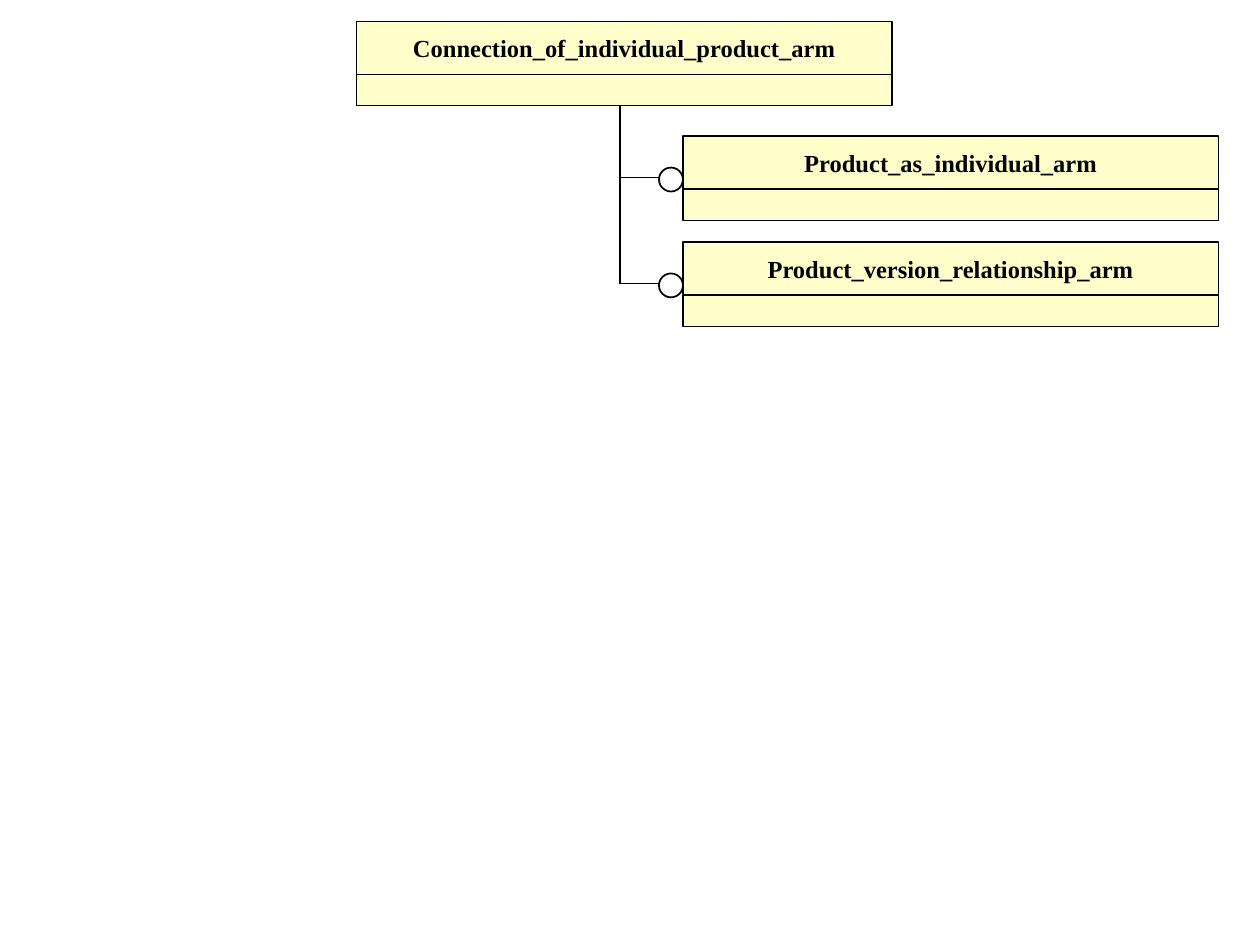
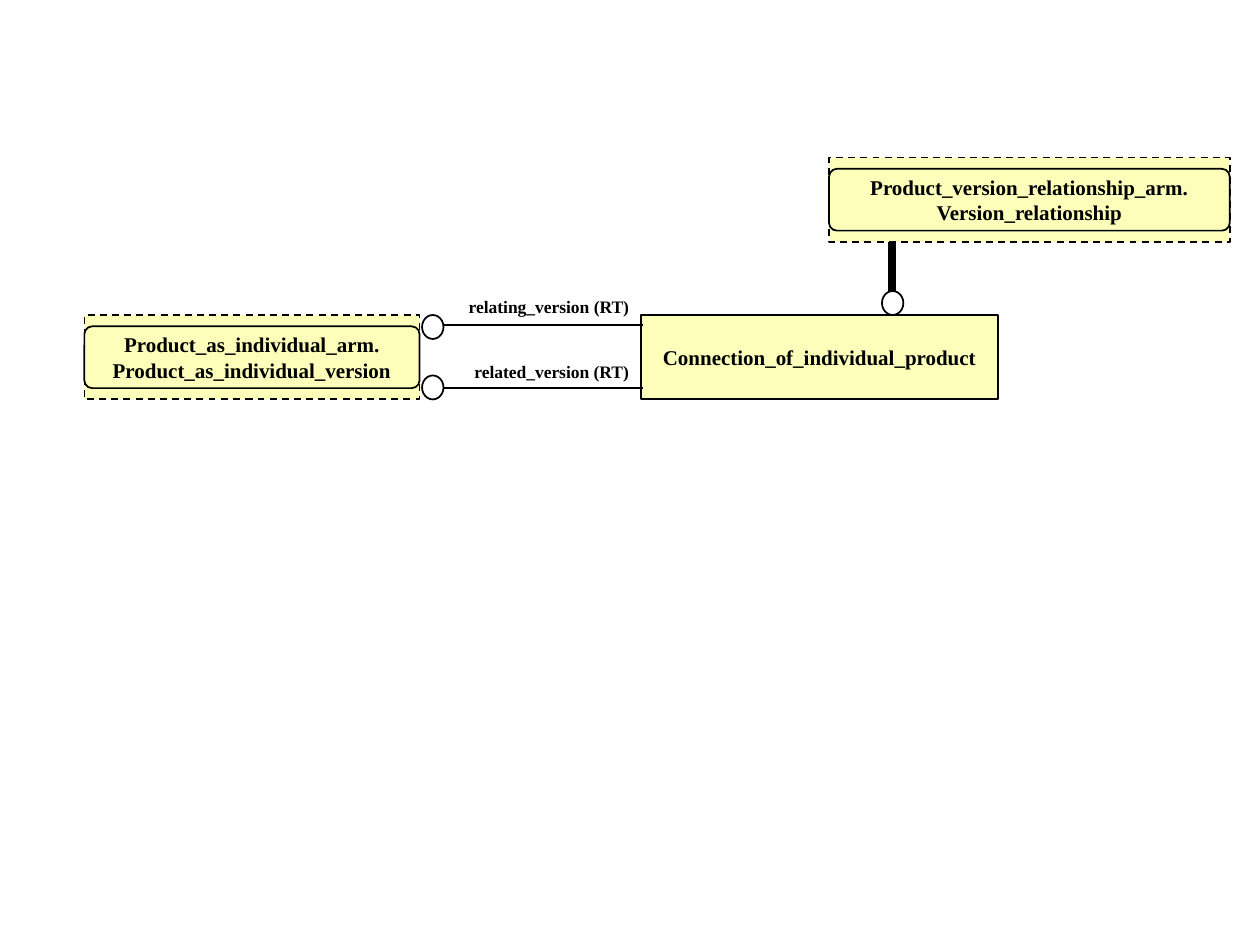
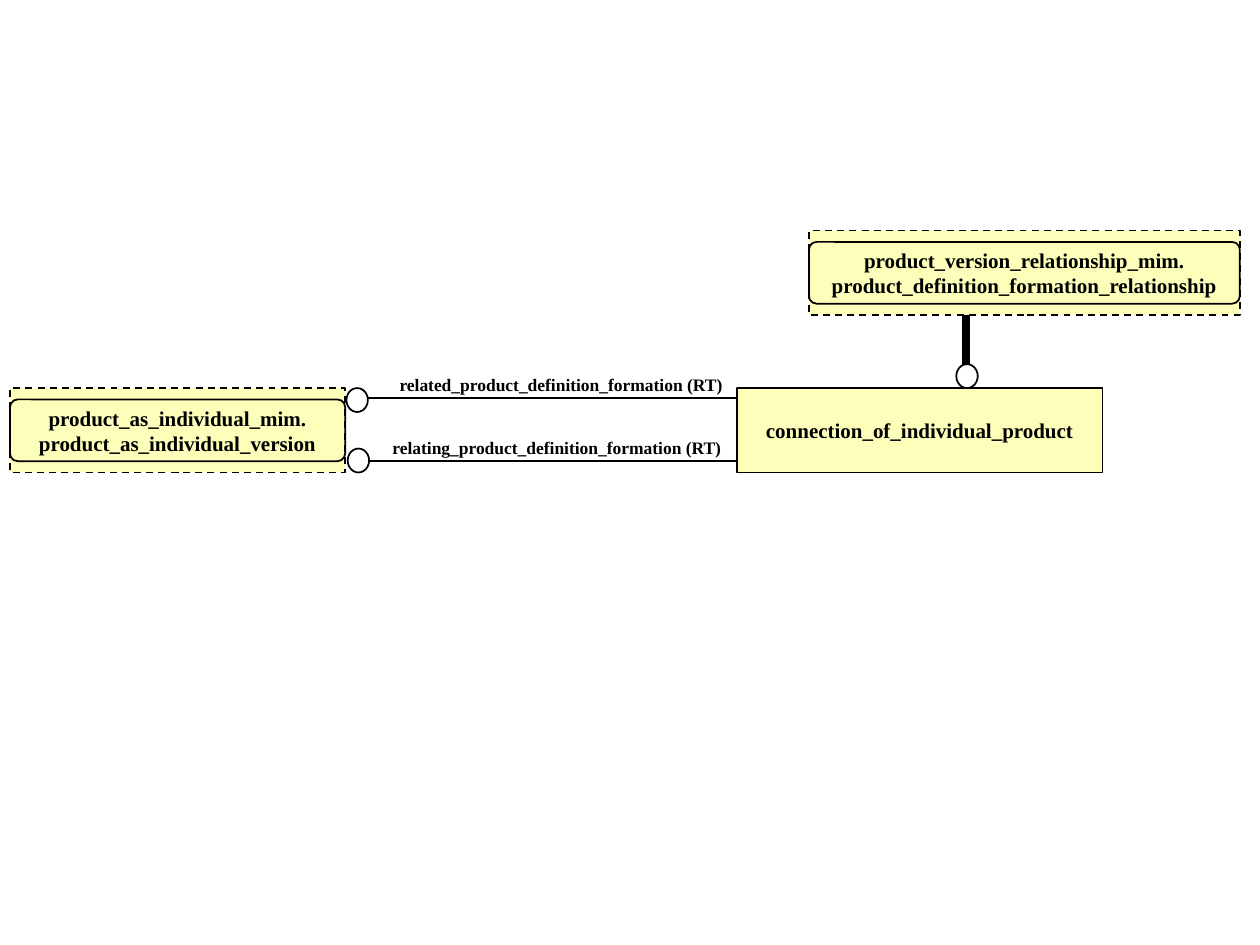
from dataclasses import dataclass

from pptx import Presentation
from pptx import util as u
from pptx.dml.color import RGBColor
from pptx.enum import dml, shapes, text
from pptx.oxml import parse_xml
from pptx.oxml.ns import nsdecls

Inches = u.Inches


@dataclass(frozen=True)
class Theme:
    ink: RGBColor = RGBColor(0x00, 0x00, 0x00)
    paper: RGBColor = RGBColor(0xFF, 0xFF, 0xFF)
    schema: RGBColor = RGBColor(0xFF, 0xFF, 0xCC)
    entity: RGBColor = RGBColor(0xFC, 0xFE, 0xB9)
    font: str = "Times New Roman"
    schema_size: float = 14
    entity_size: float = 12
    label_size: float = 10
    thin: float = 0.75
    line: float = 1
    thick: float = 4.5


SCHEMA_WIDTH, SCHEMA_HEAD, SCHEMA_FOOT = 4.25, 0.42, 0.25
ENTITY_HEIGHT = 0.67
CIRCLE_WIDTH, CIRCLE_HEIGHT = 0.17, 0.19
LABEL_HEIGHT = 0.27


def write(shape, content, *, size, align, theme, wrap=False):
    """Put one paragraph per line of content into the shape."""
    frame = shape.text_frame
    frame.word_wrap = wrap
    for index, line in enumerate(content.split("\n")):
        para = frame.add_paragraph() if index else frame.paragraphs[0]
        para.alignment = align
        span = para.add_run()
        span.text = line
        span.font.name = theme.font
        span.font.size = u.Pt(size)
        span.font.bold = True
        span.font.color.rgb = theme.ink


class Diagram:
    def __init__(self, deck, theme):
        self.deck, self.theme, self.page = deck, theme, None

    def new_page(self):
        self.page = self.deck.slides.add_slide(self.deck.slide_layouts[6])

    def shape(self, kind, left, top, width, height, *, fill=None, weight=None,
              dashed=False, parent=None):
        box = (parent or self.page).shapes.add_shape(
            kind, Inches(left), Inches(top), Inches(width), Inches(height))
        box.shadow.inherit = False
        if fill is None:
            box.fill.background()
        else:
            box.fill.solid()
            box.fill.fore_color.rgb = fill
        box.line.color.rgb = self.theme.ink
        box.line.width = u.Pt(weight or self.theme.line)
        if dashed:
            box.line.dash_style = dml.MSO_LINE.DASH
        return box

    def box(self, left, top, width, height, content="", *, size=None, **style):
        box = self.shape(shapes.MSO_SHAPE.RECTANGLE, left, top, width, height, **style)
        if content:
            box.text_frame.vertical_anchor = text.MSO_ANCHOR.MIDDLE
            write(box, content, size=size, align=text.PP_ALIGN.CENTER, theme=self.theme)

    def schema(self, left, top, name):
        """Draw a schema: a named head over an empty foot."""
        style = dict(fill=self.theme.schema, weight=self.theme.thin,
                     parent=self.page.shapes.add_group_shape())
        self.box(left, top, SCHEMA_WIDTH, SCHEMA_HEAD, name,
                 size=self.theme.schema_size, **style)
        self.box(left, top + SCHEMA_HEAD, SCHEMA_WIDTH, SCHEMA_FOOT, **style)

    def entity(self, left, top, width, name, **style):
        self.box(left, top, width, ENTITY_HEIGHT, name, fill=self.theme.entity,
                 size=self.theme.entity_size, **style)

    def external_entity(self, left, top, width, name):
        """Draw an entity of another schema: dashed box, rounded frame inside."""
        group = self.page.shapes.add_group_shape()
        self.entity(left, top, width, name, dashed=True, parent=group)
        frame = self.shape(shapes.MSO_SHAPE.ROUNDED_RECTANGLE, left, top + 0.09,
                           width, 0.49, parent=group)
        frame.adjustments[0] = 0.125

    def line(self, x1, y1, x2, y2, weight):
        line = self.page.shapes.add_connector(
            shapes.MSO_CONNECTOR.STRAIGHT, *map(Inches, (x1, y1, x2, y2)))
        line.line.color.rgb = self.theme.ink
        line.line.width = u.Pt(weight)
        properties = line._element.spPr
        properties.append(parse_xml(f"<a:effectLst {nsdecls('a')}/>"))

    def circle(self, left, top, width=CIRCLE_WIDTH):
        self.shape(shapes.MSO_SHAPE.OVAL, left, top, width, CIRCLE_HEIGHT,
                   fill=self.theme.paper)

    def label(self, left, top, width, content, *, wrap):
        box = self.page.shapes.add_textbox(
            Inches(left), Inches(top), Inches(width), Inches(LABEL_HEIGHT))
        write(box, content, size=self.theme.label_size, wrap=wrap,
              align=text.PP_ALIGN.RIGHT, theme=self.theme)
        box.text_frame.auto_size = text.MSO_AUTO_SIZE.SHAPE_TO_FIT_TEXT


def schema_page(diagram):
    thin = diagram.theme.thin
    trunk, stem_top, used_left = 4.92, 0.83, 5.42
    used = {1.08: "Product_as_individual_arm", 1.92: "Product_version_relationship_arm"}
    diagram.new_page()
    diagram.schema(2.83, 0.17, "Connection_of_individual_product_arm")
    for top, name in used.items():
        diagram.schema(used_left, top, name)
        diagram.line(trunk, top + 0.33, 5.25, top + 0.33, thin)
        diagram.circle(used_left - 0.19, top + 0.25, width=0.19)
    diagram.line(trunk, max(used) + 0.33, trunk, stem_top, thin)


def entity_page(diagram, *, entity, target, supertype, stem, attributes):
    """Draw an entity, its supertype above and its two attributes to the left.

    Boxes are (left, top, width, name); attributes are (circle left, label).
    """
    theme = diagram.theme
    left, top = entity[:2]
    diagram.new_page()
    diagram.entity(*entity)
    diagram.external_entity(*target)
    diagram.external_entity(*supertype)

    diagram.line(stem, supertype[1] + ENTITY_HEIGHT, stem, top - 0.17, theme.thick)
    diagram.circle(stem - 0.08, top - CIRCLE_HEIGHT)

    for index, (circle_left, label) in enumerate(attributes):
        line_y = top + 0.08 + 0.5 * index
        diagram.line(circle_left + CIRCLE_WIDTH, line_y, left + 0.01, line_y, theme.line)
        diagram.circle(circle_left, top + 0.48 * index)
        diagram.label(*label, wrap=index == 0)


def main():
    deck = Presentation()
    deck.slide_width, deck.slide_height = Inches(10), Inches(7.5)
    diagram = Diagram(deck, Theme())
    schema_page(diagram)
    entity_page(
        diagram,
        entity=(5.09, 2.5, 2.83, "Connection_of_individual_product"),
        target=(0.67, 2.5, 2.66,
                "Product_as_individual_arm.\nProduct_as_individual_version"),
        supertype=(6.58, 1.25, 3.18,
                   "Product_version_relationship_arm.\nVersion_relationship"),
        stem=7.08,
        attributes=[(3.35, (2.62, 2.3, 2.47, "relating_version (RT)")),
                    (3.35, (3.66, 2.82, 1.43, "related_version (RT)"))])
    entity_page(
        diagram,
        entity=(5.85, 3.08, 2.9, "connection_of_individual_product"),
        target=(0.08, 3.08, 2.66,
                "product_as_individual_mim.\nproduct_as_individual_version"),
        supertype=(6.42, 1.83, 3.42,
                   "product_version_relationship_mim.\n"
                   "product_definition_formation_relationship"),
        stem=7.67,
        attributes=[
            (2.75, (3, 2.92, 2.83, "related_product_definition_formation (RT)")),
            (2.76, (3.01, 3.42, 2.81, "relating_product_definition_formation (RT)"))])
    deck.save("out.pptx")


if __name__ == "__main__":
    main()
